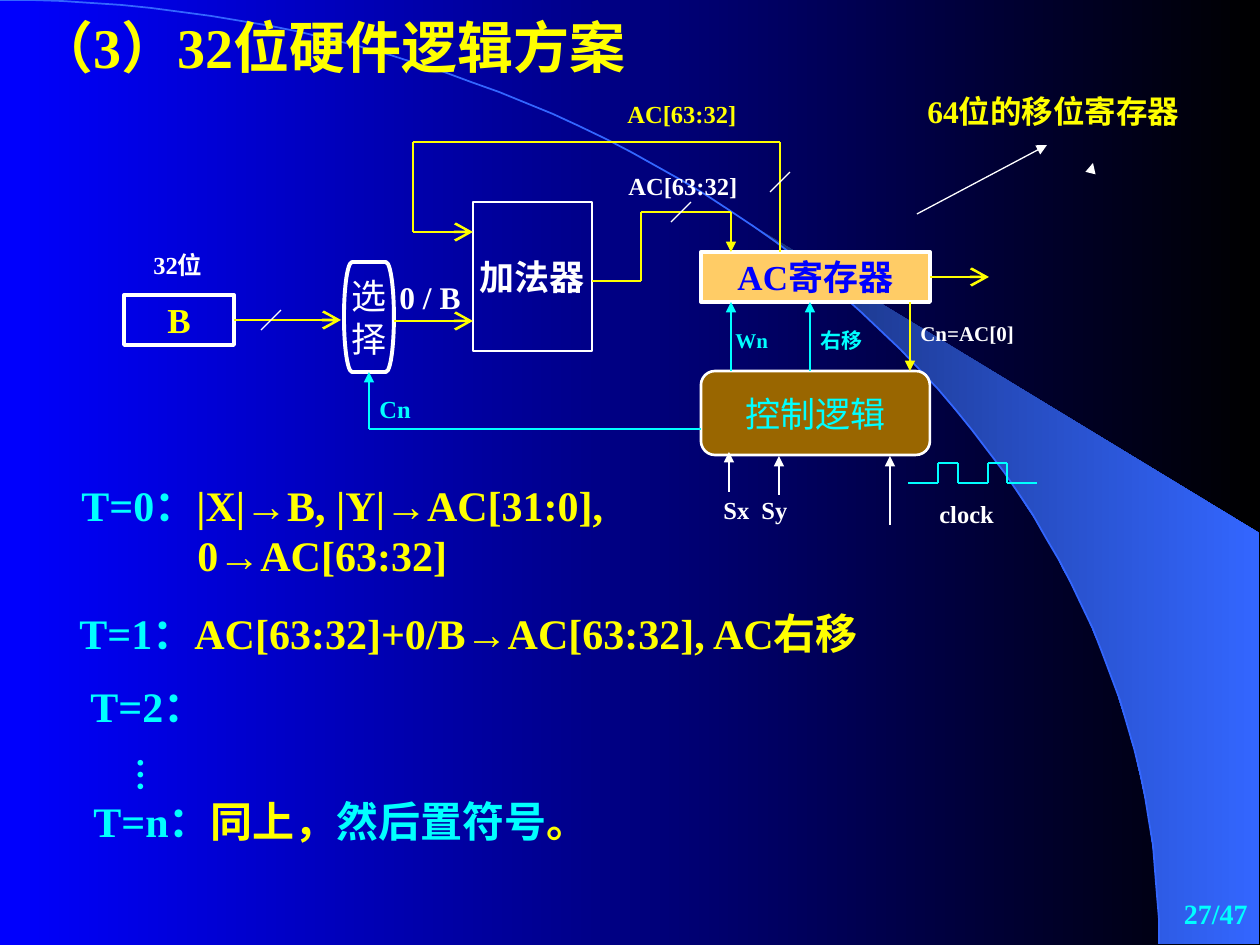
from math import cos, pi, sin

from lxml.etree import SubElement
from pptx import Presentation
from pptx.dml.color import RGBColor
from pptx.enum.shapes import MSO_CONNECTOR, MSO_SHAPE
from pptx.enum.text import MSO_ANCHOR, MSO_AUTO_SIZE, PP_ALIGN
from pptx.oxml.ns import qn
from pptx.util import Pt

SCALE = 914400 / 126
FONT = "Times New Roman"
BLUE, YELLOW, CYAN, WHITE = "3366FF", "FFFF00", "00FFFF", "FFFFFF"


def px(n):
    """Turn px into EMU."""
    return round(n * SCALE)


def rgb(code):
    """Turn a hex string into a colour."""
    return RGBColor.from_string(code)


def blend(fill, first, last):
    """Give a fill a left-to-right gradient."""
    fill.gradient()
    fill.gradient_angle = 0
    for stop, code, place in zip(fill.gradient_stops, (first, last), (0, 1)):
        stop.color.rgb = rgb(code)
        stop.position = place


def style(para, size, color, bold=True):
    """Set the font of a paragraph."""
    font = para.font
    font.name, font.size, font.bold = FONT, Pt(size), bold
    font.color.rgb = rgb(color)


def write(frame, lines, size, color, bold=True, align=PP_ALIGN.LEFT):
    """Fill a frame; a line is a string or a list of (text, colour) runs."""
    for i, line in enumerate(lines):
        para = frame.paragraphs[0] if i == 0 else frame.add_paragraph()
        para.alignment = align
        runs = [(line, None)] if isinstance(line, str) else line
        for text, tint in runs:
            run = para.add_run()
            run.text = text
            if tint:
                run.font.color.rgb = rgb(tint)
        style(para, size, color, bold)


def label(slide, box, lines, size, color, wrap=False, align=PP_ALIGN.LEFT, tab=None):
    """Add a text box that grows with its text."""
    shape = slide.shapes.add_textbox(*map(px, box))
    frame = shape.text_frame
    frame.word_wrap = wrap
    frame.auto_size = MSO_AUTO_SIZE.SHAPE_TO_FIT_TEXT
    if tab:
        props = frame.paragraphs[0]._p.get_or_add_pPr()
        stops = SubElement(props, qn("a:tabLst"))
        SubElement(stops, qn("a:tab"), pos=str(px(tab)), algn="l")
    write(frame, lines, size, color, align=align)
    return frame


def block(slide, kind, box, lines, color, weight, fill=None, bold=True):
    """Add a circuit block with a white outline and centred text."""
    shape = slide.shapes.add_shape(kind, *map(px, box))
    shape.shadow.inherit = False
    shape.line.color.rgb = rgb(WHITE)
    shape.line.width = Pt(weight)
    if fill:
        shape.fill.solid()
        shape.fill.fore_color.rgb = rgb(fill)
    else:
        shape.fill.background()
    frame = shape.text_frame
    frame.word_wrap = False
    frame.vertical_anchor = MSO_ANCHOR.MIDDLE
    write(frame, lines, 20, color, bold, PP_ALIGN.CENTER)
    return shape


def wire(slide, points, color, weight=1.5, head=None, start=None, end=None):
    """Run straight connectors through points, with a head on the last."""
    parts = []
    for a, b in zip(points, points[1:]):
        part = slide.shapes.add_connector(MSO_CONNECTOR.STRAIGHT, *map(px, a + b))
        part.line.color.rgb = rgb(color)
        part.line.width = Pt(weight)
        parts.append(part)
    if head:
        size = "lg" if head == "arrow" else "med"
        SubElement(parts[-1].line._get_or_add_ln(), qn("a:tailEnd"), type=head, w=size, len=size)
    if start:
        parts[0].begin_connect(*start)
    if end:
        parts[-1].end_connect(*end)
    for part in parts:
        SubElement(part._element.spPr, qn("a:effectLst"))


def arc(first):
    """List points on the quarter ellipse from an angle in degrees to 90."""
    turns = [(first + (90 - first) * i / 60) * pi / 180 for i in range(61)]
    return [(1159 * sin(t), 944 * (1 - cos(t))) for t in turns]


def trace(slide, points, close):
    """Build a freeform through points."""
    pen = slide.shapes.build_freeform(*points[0], scale=SCALE)
    pen.add_line_segments(points[1:], close=close)
    shape = pen.convert_to_shape()
    shape.shadow.inherit = False
    return shape


def backdrop(slide):
    """Draw the gradient ground, the wedge and the arc."""
    blend(slide.background.fill, "0000FF", "000000")
    wedge = trace(slide, arc(39.8) + [(1259, 944), (1259, 533)], True)
    blend(wedge.fill, "182F76", BLUE)
    wedge.line.fill.background()
    curve = trace(slide, arc(0), False)
    curve.fill.background()
    curve.line.color.rgb = rgb(BLUE)
    curve.line.width = Pt(1)


def head(slide):
    """Fill the title and bring it in front of the backdrop."""
    title = slide.shapes.title
    slide.shapes._spTree.append(title._element)
    title.left, title.top, title.width, title.height = map(px, (25, 6, 684, 81))
    frame = title.text_frame
    frame.vertical_anchor = MSO_ANCHOR.TOP
    frame.auto_size = MSO_AUTO_SIZE.NONE
    write(frame, ["（3）32位硬件逻辑方案"], 32, YELLOW)


def circuit(slide):
    """Draw the blocks, wires and labels of the multiplier."""
    pick = block(slide, MSO_SHAPE.FLOWCHART_TERMINATOR, (344, 262, 50, 110),
                 ["选", "择"], WHITE, 2.25, bold=False)
    block(slide, MSO_SHAPE.RECTANGLE, (473, 202, 119, 149), ["加法器"], WHITE, 1.5)
    store = block(slide, MSO_SHAPE.RECTANGLE, (701, 252, 229, 50),
                  ["AC寄存器"], "0000FF", 2.25, "FFCC66")
    block(slide, MSO_SHAPE.FLOWCHART_ALTERNATE_PROCESS, (701, 371, 229, 84),
          ["控制逻辑"], CYAN, 1.5, "996600", False)
    source = block(slide, MSO_SHAPE.RECTANGLE, (124, 295, 110, 50), ["B"], YELLOW, 2.25)

    wire(slide, [(780, 252), (780, 142), (413, 142), (413, 232), (473, 232)], YELLOW, head="arrow")
    wire(slide, [(592, 281), (641, 281), (641, 212), (731, 212), (731, 252)], YELLOW, head="triangle")
    wire(slide, [(234, 320), (341, 320)], YELLOW, head="arrow", start=(source, 3))
    wire(slide, [(394, 321), (473, 321)], YELLOW, head="arrow")
    wire(slide, [(930, 277), (989, 277)], YELLOW, head="arrow", start=(store, 3))
    wire(slide, [(910, 302), (910, 371)], YELLOW, 1, "triangle")
    wire(slide, [(701, 429), (369, 429), (369, 372)], CYAN, head="triangle", end=(pick, 2))
    for x in (731, 810):
        wire(slide, [(x, 371), (x, 302)], CYAN, head="triangle")
    for x, low, high in ((729, 492, 452), (779, 495, 456), (890, 525, 456)):
        wire(slide, [(x, low), (x, high)], WHITE, 0.75, "triangle")
    for x, y in ((271, 320), (681, 212), (780, 182)):
        wire(slide, [(x + 10, y - 10), (x - 10, y + 10)], WHITE, 0.75)
    wire(slide, [(917, 214), (1047, 145)], WHITE, 0.75, "triangle")
    wire(slide, [(1092, 167), (1093, 163)], WHITE, 0.75, "triangle")
    clock = [(908, 483), (938, 483), (938, 463), (958, 463), (958, 483),
             (988, 483), (988, 463), (1007, 463), (1007, 483), (1037, 483)]
    wire(slide, clock, CYAN, 0.75)

    for box, text, size, color in (
        ((615, 93, 150, 43), "AC[63:32]", 14, YELLOW),
        ((616, 165, 150, 43), "AC[63:32]", 14, WHITE),
        ((141, 244, 100, 43), "32位", 14, WHITE),
        ((387, 272, 100, 50), "0 / B", 18, WHITE),
        ((367, 388, 70, 43), "Cn", 14, CYAN),
        ((908, 314, 140, 38), "Cn=AC[0]", 12, WHITE),
        ((927, 493, 100, 43), "clock", 14, WHITE),
        ((915, 86, 300, 50), "64位的移位寄存器", 18, YELLOW),
    ):
        label(slide, box, [text], size, color, wrap=True)
    label(slide, (723, 321, 194, 38), ["Wn\t右移"], 12, CYAN, wrap=True, tab=85)
    label(slide, (711, 489, 110, 43), ["Sx\tSy"], 14, WHITE, wrap=True, tab=38)


def steps(slide):
    """Write the clock steps and the page number."""
    first = label(slide, (69, 473, 600, 113),
                  [[("T=0：", CYAN), ("|X|→B, |Y|→AC[31:0],", YELLOW)], "0→AC[63:32]"],
                  24, YELLOW, wrap=True)
    first.paragraphs[1]._p.get_or_add_pPr().set("marL", str(px(116)))
    label(slide, (67, 601, 860, 63),
          [[("T=1：", CYAN), ("AC[63:32]+0/B→AC[63:32], AC右移", YELLOW)]], 24, YELLOW, wrap=True)
    label(slide, (78, 674, 170, 63), ["T=2："], 24, CYAN, wrap=True)
    dots = label(slide, (112, 745, 67, 54), ["…"], 20, CYAN, wrap=True)
    dots._txBody.bodyPr.set("vert", "eaVert")
    dots.margin_left = dots.margin_right = px(6)
    dots.margin_top = dots.margin_bottom = px(13)
    label(slide, (81, 789, 550, 63),
          [[("T=n：", CYAN), ("同上，", YELLOW), ("然后置符号", CYAN), ("。", YELLOW)]],
          24, YELLOW, wrap=True)
    page = label(slide, (998, 882, 262, 63), ["27/47"], 16, CYAN, True, PP_ALIGN.RIGHT)
    page.auto_size = MSO_AUTO_SIZE.NONE
    page.vertical_anchor = MSO_ANCHOR.MIDDLE


def main():
    """Build and save the slide."""
    deck = Presentation()
    deck.slide_width, deck.slide_height = px(1260), px(945)
    slide = deck.slides.add_slide(deck.slide_layouts[5])
    backdrop(slide)
    head(slide)
    circuit(slide)
    steps(slide)
    deck.save("out.pptx")


if __name__ == "__main__":
    main()
